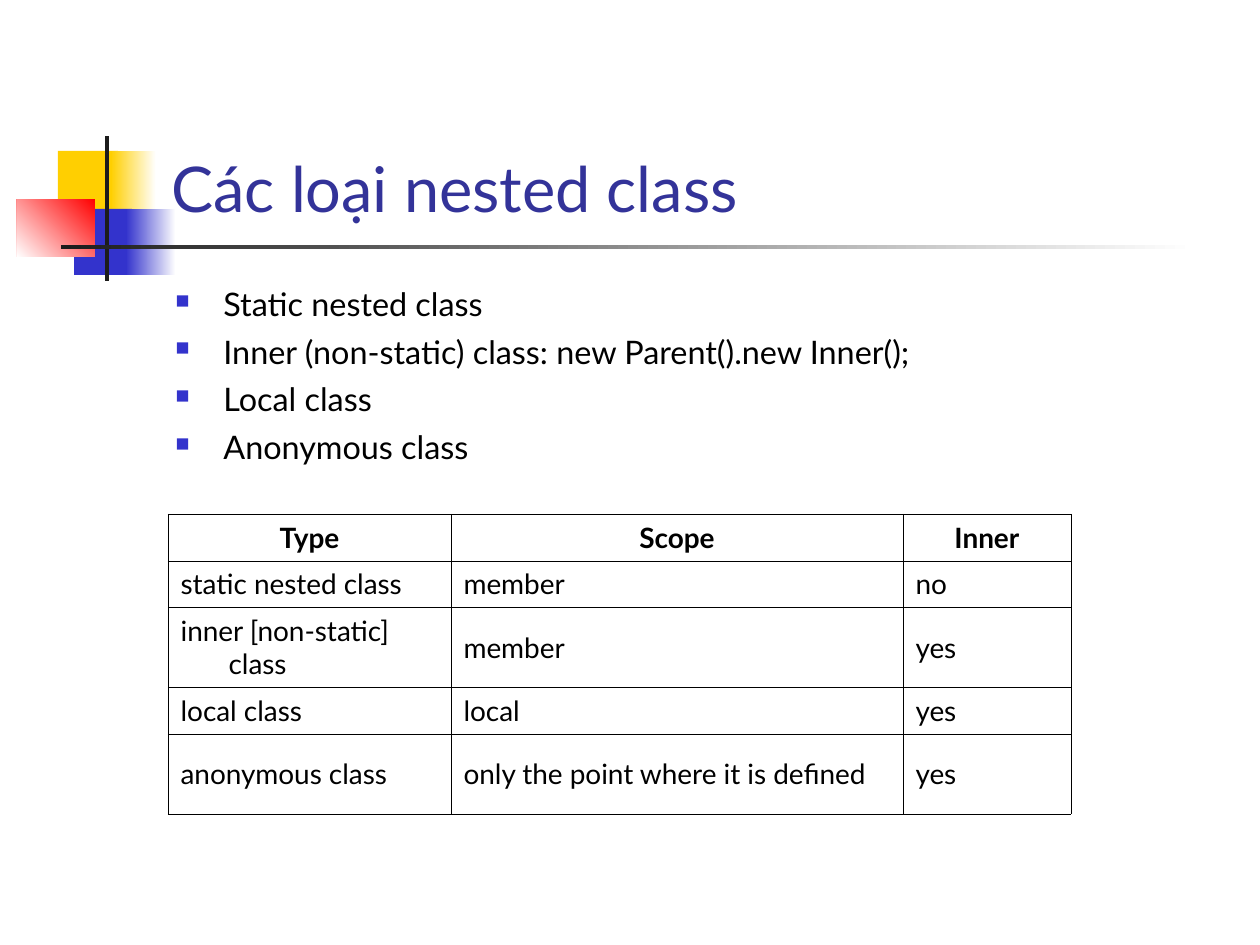
from dataclasses import dataclass

from lxml.etree import SubElement
from pptx import Presentation
from pptx.dml.color import RGBColor
from pptx.enum.shapes import MSO_SHAPE
from pptx.enum.text import MSO_ANCHOR, PP_ALIGN
from pptx.oxml import parse_xml
from pptx.oxml.ns import nsdecls, qn
from pptx.util import Pt

# Content
TITLE = "Các loại nested class"
CLASS_KINDS = [
    "Static nested class",
    "Inner (non-static) class: new Parent().new Inner();",
    "Local class",
    "Anonymous class",
]
SCOPE_ROWS = [
    ("Type", "Scope", "Inner"),
    ("static nested class", "member", "no"),
    ("inner [non-static] class", "member", "yes"),
    ("local class", "local", "yes"),
    ("anonymous class", "only the point where it is defined", "yes"),
]


@dataclass(frozen=True)
class Theme:
    font: str = "Lato"
    title: str = "333399"
    text: str = "000000"
    yellow: str = "FFCF01"
    blue: str = "3333CC"
    red: str = "FF0000"
    dark: str = "1C1C1C"
    white: str = "FFFFFF"
    title_size: float = 36
    list_size: float = 18.5
    table_size: float = 16
    border: float = 0.34


THEME = Theme()

# Layout in px, 126 to the inch
SLIDE = (1260, 945)
TITLE_BOX = (159, 29, 1074, 202)
LIST_BOX = (163, 278, 940, 194)
TABLE_AT = (168, 514)
COLUMN_WIDTHS = (283, 452, 168)
ROW_HEIGHTS = (47, 46, 80, 47, 80)
HANG = 48

# Ornament, back to front: box, colours (two make a gradient), gradient angle
ORNAMENT = [
    ((58, 151, 60, 66), (THEME.yellow,), 0),
    ((111, 151, 45, 66), (THEME.white, THEME.yellow), 180),
    ((74, 209, 58, 66), (THEME.blue,), 0),
    ((126, 209, 50, 66), (THEME.white, THEME.blue), 180),
    ((17, 199, 78, 58), (THEME.red, THEME.white), 225),
    ((105, 136, 4, 145), (THEME.dark,), 0),
    ((61, 245, 1134, 4), (THEME.white, THEME.dark), 180),
]


def px(length):
    return round(length * 914400 / 126)


def emu(box):
    return [px(length) for length in box]


def style(paragraph, size, color, bold=False):
    font = paragraph.font
    font.name, font.size, font.bold = THEME.font, Pt(size), bold
    font.color.rgb = RGBColor.from_string(color)


def hang(paragraph):
    properties = paragraph._p.get_or_add_pPr()
    properties.set("marL", str(px(HANG)))
    properties.set("indent", str(-px(HANG)))
    return properties


def add_bullet(paragraph):
    properties = hang(paragraph)
    color = SubElement(properties, qn("a:buClr"))
    SubElement(color, qn("a:srgbClr"), val=THEME.blue)
    SubElement(properties, qn("a:buSzPct"), val="60000")
    SubElement(properties, qn("a:buChar"), char="■")


def add_borders(cell):
    properties = cell._tc.get_or_add_tcPr()
    for position, side in enumerate(("lnL", "lnR", "lnT", "lnB")):
        properties.insert(position, parse_xml(
            f'<a:{side} {nsdecls("a")} w="{Pt(THEME.border)}"><a:solidFill>'
            f'<a:srgbClr val="{THEME.text}"/></a:solidFill></a:{side}>'))


def add_ornament(slide):
    for box, colors, angle in ORNAMENT:
        block = slide.shapes.add_shape(MSO_SHAPE.RECTANGLE, *emu(box))
        block.shadow.inherit = False
        block.line.fill.background()
        if len(colors) == 1:
            block.fill.solid()
            block.fill.fore_color.rgb = RGBColor.from_string(colors[0])
        else:
            block.fill.gradient()
            block.fill.gradient_angle = angle
            for stop, color in zip(block.fill.gradient_stops, colors):
                stop.color.rgb = RGBColor.from_string(color)


def add_title(slide):
    title = slide.shapes.title
    title.left, title.top, title.width, title.height = emu(TITLE_BOX)
    title.text_frame.text = TITLE
    title.text_frame.vertical_anchor = MSO_ANCHOR.BOTTOM
    heading = title.text_frame.paragraphs[0]
    heading.alignment = PP_ALIGN.LEFT
    style(heading, THEME.title_size, THEME.title)


def add_class_list(slide):
    frame = slide.shapes.add_textbox(*emu(LIST_BOX)).text_frame
    frame.word_wrap = True
    frame.text = "\n".join(CLASS_KINDS)
    for index, paragraph in enumerate(frame.paragraphs):
        add_bullet(paragraph)
        if index:
            paragraph.space_before = Pt(5)
        style(paragraph, THEME.list_size, THEME.text)


def add_scope_table(slide):
    box = (*TABLE_AT, sum(COLUMN_WIDTHS), sum(ROW_HEIGHTS))
    table = slide.shapes.add_table(
        len(ROW_HEIGHTS), len(COLUMN_WIDTHS), *emu(box)).table
    table.first_row = table.horz_banding = False
    for column, width in zip(table.columns, COLUMN_WIDTHS):
        column.width = px(width)
    for row_index, (row, height, texts) in enumerate(
            zip(table.rows, ROW_HEIGHTS, SCOPE_ROWS)):
        row.height = px(height)
        is_header = row_index == 0
        for cell, text in zip(row.cells, texts):
            cell.text = text
            cell.vertical_anchor = MSO_ANCHOR.MIDDLE
            cell.fill.background()
            add_borders(cell)
            paragraph = cell.text_frame.paragraphs[0]
            hang(paragraph)
            paragraph.alignment = PP_ALIGN.CENTER if is_header else PP_ALIGN.LEFT
            style(paragraph, THEME.table_size, THEME.text, bold=is_header)


def main():
    deck = Presentation()
    deck.slide_width, deck.slide_height = emu(SLIDE)
    slide = deck.slides.add_slide(deck.slide_layouts[5])
    add_ornament(slide)
    # Keep the title in front of the ornament
    slide.shapes._spTree.append(slide.shapes.title._element)
    add_title(slide)
    add_class_list(slide)
    add_scope_table(slide)
    deck.save("out.pptx")


if __name__ == "__main__":
    main()
